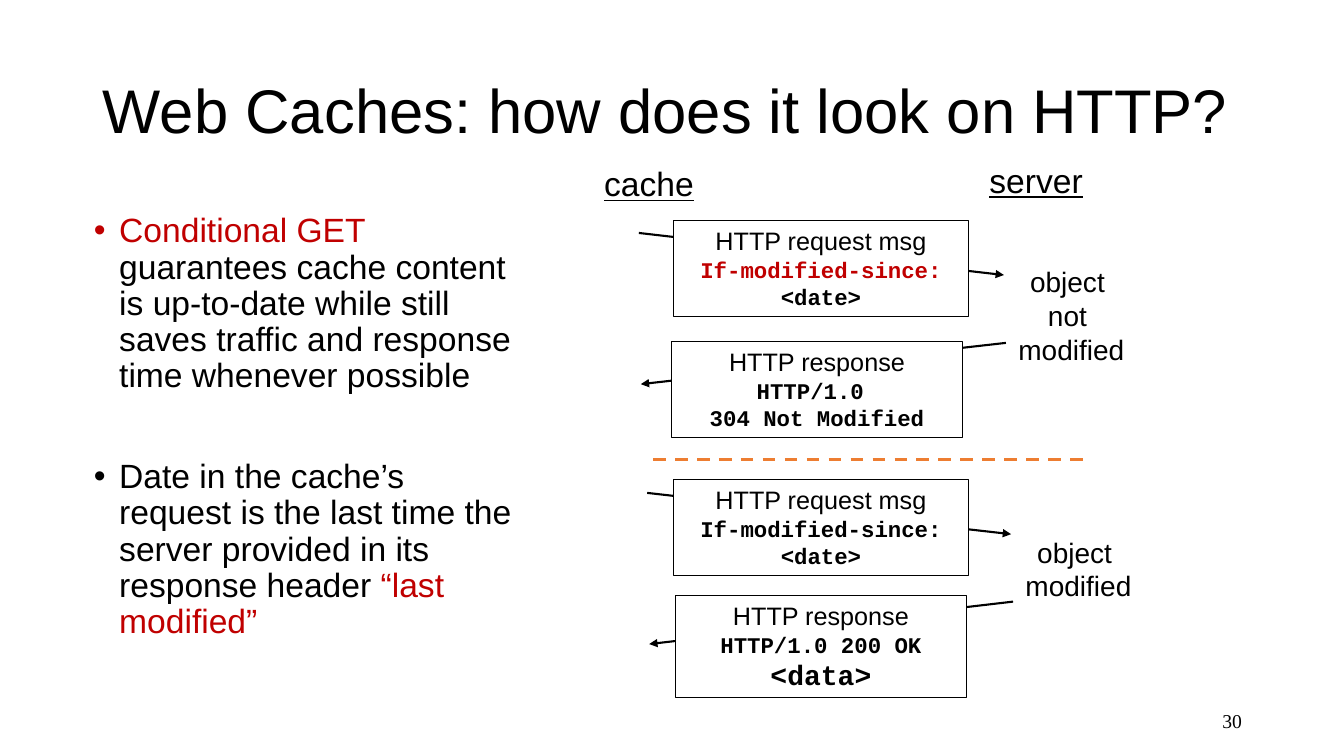
from lxml.etree import SubElement
from pptx import Presentation
from pptx.dml.color import RGBColor
from pptx.enum.dml import MSO_LINE
from pptx.enum.shapes import MSO_CONNECTOR, MSO_SHAPE
from pptx.enum.text import MSO_ANCHOR, MSO_AUTO_SIZE, PP_ALIGN
from pptx.oxml.ns import qn
from pptx.util import Cm, Pt

BLACK, RED, ORANGE, WHITE = "000000", "C00000", "ED7D31", "FFFFFF"
HEAD = {"name": "Arial", "size": Pt(18)}
CODE = {"name": "Courier New", "size": Pt(16), "bold": True}
CODE_BIG = {**CODE, "size": Pt(20)}
LABEL = {"name": "Arial", "size": Pt(24), "underline": True}
NOTE = {"name": "Arial", "size": Pt(20)}
BODY = {"name": "Arial", "size": Pt(24)}
TITLE = {"name": "Arial", "size": Pt(44)}
NUMBER = {"name": "Times New Roman", "size": Pt(14)}


def set_attrs(obj, values):
    """Set each attribute of obj from a dict."""
    for name, value in values.items():
        setattr(obj, name, value)


def set_color(color_format, color):
    """Apply a hex colour to a colour format."""
    color_format.rgb = RGBColor.from_string(color)


def place(sp, left, top, width, height):
    """Move and size a shape, in centimetres."""
    set_attrs(sp, {"left": Cm(left), "top": Cm(top), "width": Cm(width), "height": Cm(height)})


def write(tf, paragraphs, **p_format):
    """Fill a text frame with paragraphs, each a list of (text, font, colour) runs."""
    for i, runs in enumerate(paragraphs):
        p = tf.add_paragraph() if i else tf.paragraphs[0]
        set_attrs(p, p_format)
        for text, font, color in runs:
            r = p.add_run()
            r.text = text
            set_attrs(r.font, font)
            r.font.fill.solid()
            set_color(r.font.fill.fore_color, color)


def add_text(slide, box, lines, font, align=PP_ALIGN.CENTER, anchor=MSO_ANCHOR.TOP):
    """Add an unwrapped text box with one paragraph per line."""
    tf = slide.shapes.add_textbox(*map(Cm, box)).text_frame
    set_attrs(tf, {"word_wrap": False, "vertical_anchor": anchor})
    write(tf, [[(line, font, BLACK)] for line in lines], alignment=align)


def add_message(slide, box, paragraphs):
    """Add a white outlined box holding an HTTP message."""
    sp = slide.shapes.add_shape(MSO_SHAPE.RECTANGLE, *map(Cm, box))
    sp.shadow.inherit = False
    sp.fill.solid()
    set_color(sp.fill.fore_color, WHITE)
    set_color(sp.line.color, BLACK)
    sp.line.width = Pt(0.75)
    set_attrs(sp.text_frame, {"word_wrap": True, "vertical_anchor": MSO_ANCHOR.TOP})
    write(sp.text_frame, paragraphs, alignment=PP_ALIGN.CENTER)


def add_line(slide, ends, color=BLACK, width=1.5, dash=None, arrow=True):
    """Add a straight line, with an arrowhead at its end if wanted."""
    cxn = slide.shapes.add_connector(MSO_CONNECTOR.STRAIGHT, *map(Cm, ends))
    set_color(cxn.line.color, color)
    set_attrs(cxn.line, {"width": Pt(width), "dash_style": dash})
    if arrow:
        SubElement(cxn.line._get_or_add_ln(), qn("a:tailEnd"), type="triangle")
    SubElement(cxn._element.spPr, qn("a:effectLst"))


def fill_title(sp, text):
    """Format and fill the title placeholder."""
    place(sp, 2.34, 1.02, 29.21, 3.68)
    set_attrs(sp.text_frame, {"auto_size": MSO_AUTO_SIZE.NONE,
                              "vertical_anchor": MSO_ANCHOR.MIDDLE})
    write(sp.text_frame, [[(text, TITLE, BLACK)]], alignment=PP_ALIGN.LEFT, line_spacing=0.9)


def fill_body(sp, paragraphs):
    """Format and fill the bulleted body placeholder."""
    place(sp, 2.11, 5.26, 11.23, 11.96)
    tf = sp.text_frame
    tf.auto_size = MSO_AUTO_SIZE.NONE
    write(tf, paragraphs, line_spacing=0.9)
    for i, p in enumerate(tf.paragraphs):
        p.space_before = Pt(46 if i else 0)
        pPr = p._p.get_or_add_pPr()
        pPr.set("marL", str(Cm(0.64)))
        pPr.set("indent", str(-Cm(0.64)))
        SubElement(pPr, qn("a:buChar"), char="•")


def main():
    """Build the slide and save it."""
    prs = Presentation()
    set_attrs(prs, {"slide_width": Cm(33.87), "slide_height": Cm(19.05)})
    slide = prs.slides.add_slide(prs.slide_layouts[1])

    fill_title(slide.shapes.title, "Web Caches: how does it look on HTTP?")
    fill_body(slide.placeholders[1], [
        [("Conditional GET ", BODY, RED),
         ("guarantees cache content is up-to-date while still saves traffic "
          "and response time whenever possible", BODY, BLACK)],
        [("Date in the cache’s request is the last time the server provided "
          "in its response header ", BODY, BLACK),
         ("“last modified”", BODY, RED)],
    ])

    for ends in [(16.1, 5.87, 25.3, 6.93), (25.35, 8.64, 16.15, 9.68),
                 (16.31, 12.42, 25.48, 13.46), (25.53, 15.16, 16.36, 16.23)]:
        add_line(slide, ends)
    add_line(slide, (16.46, 11.58, 27.3, 11.58), ORANGE, 2.25, MSO_LINE.DASH, arrow=False)

    for top, color in [(5.56, RED), (12.09, BLACK)]:
        add_message(slide, (16.97, top, 7.44, 2.41), [
            [("HTTP request msg", HEAD, BLACK)],
            [("If-modified-since: ", CODE, color), ("<date>", CODE, BLACK)],
        ])
    for box, replies in [
        ((16.92, 8.61, 7.34, 2.41), [("HTTP/1.0 ", CODE), ("304 Not Modified", CODE)]),
        ((17.02, 15.01, 7.34, 2.57), [("HTTP/1.0 200 OK", CODE), ("<data>", CODE_BIG)]),
    ]:
        add_message(slide, box, [[(text, font, BLACK)] for text, font in
                                 [("HTTP response", HEAD), *replies]])

    add_text(slide, (14.96, 3.99, 2.79, 1.27), ["cache"], LABEL)
    add_text(slide, (24.66, 3.91, 2.9, 1.27), ["server"], LABEL)
    add_text(slide, (25.4, 6.55, 3.2, 2.82), ["object ", "not ", "modified"], NOTE)
    add_text(slide, (25.58, 13.36, 3.2, 1.96), ["object ", "modified"], NOTE)
    add_text(slide, (23.93, 17.65, 7.62, 1.02), ["30"], NUMBER,
             PP_ALIGN.RIGHT, MSO_ANCHOR.MIDDLE)
    prs.save("out.pptx")


if __name__ == "__main__":
    main()
